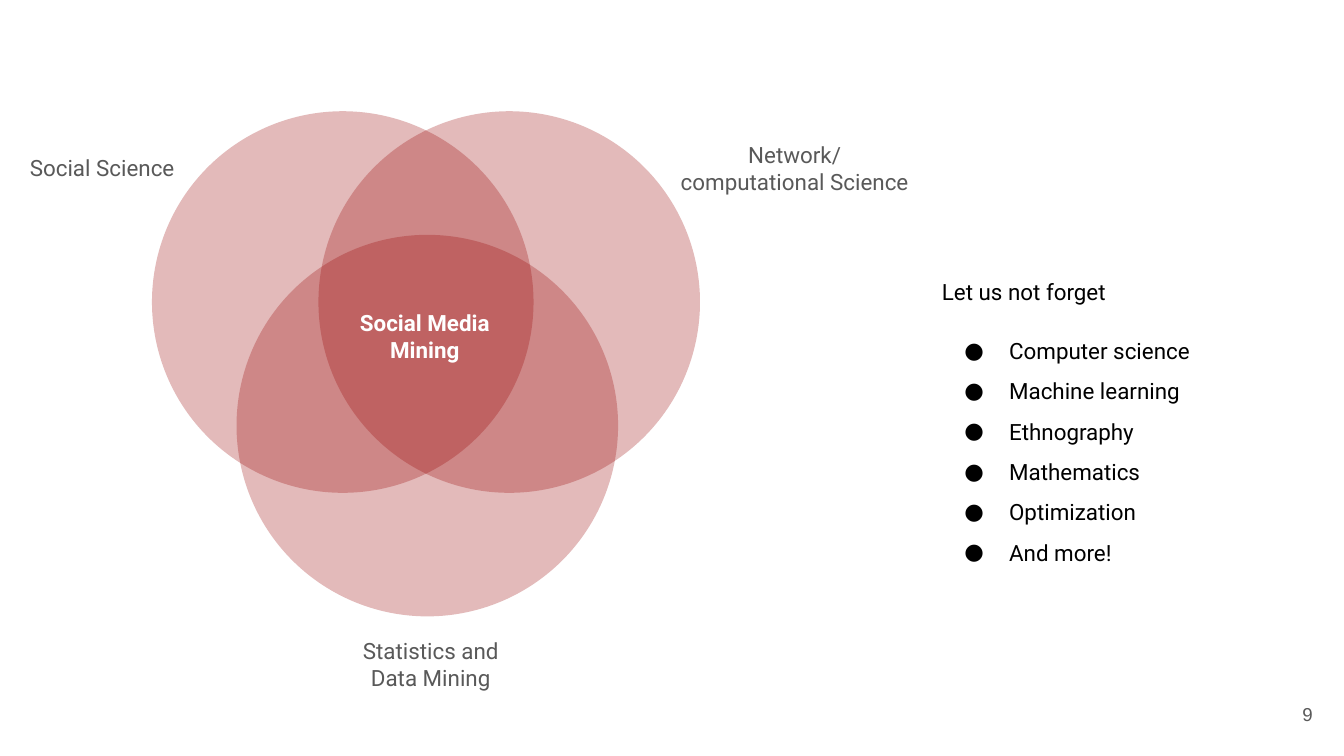
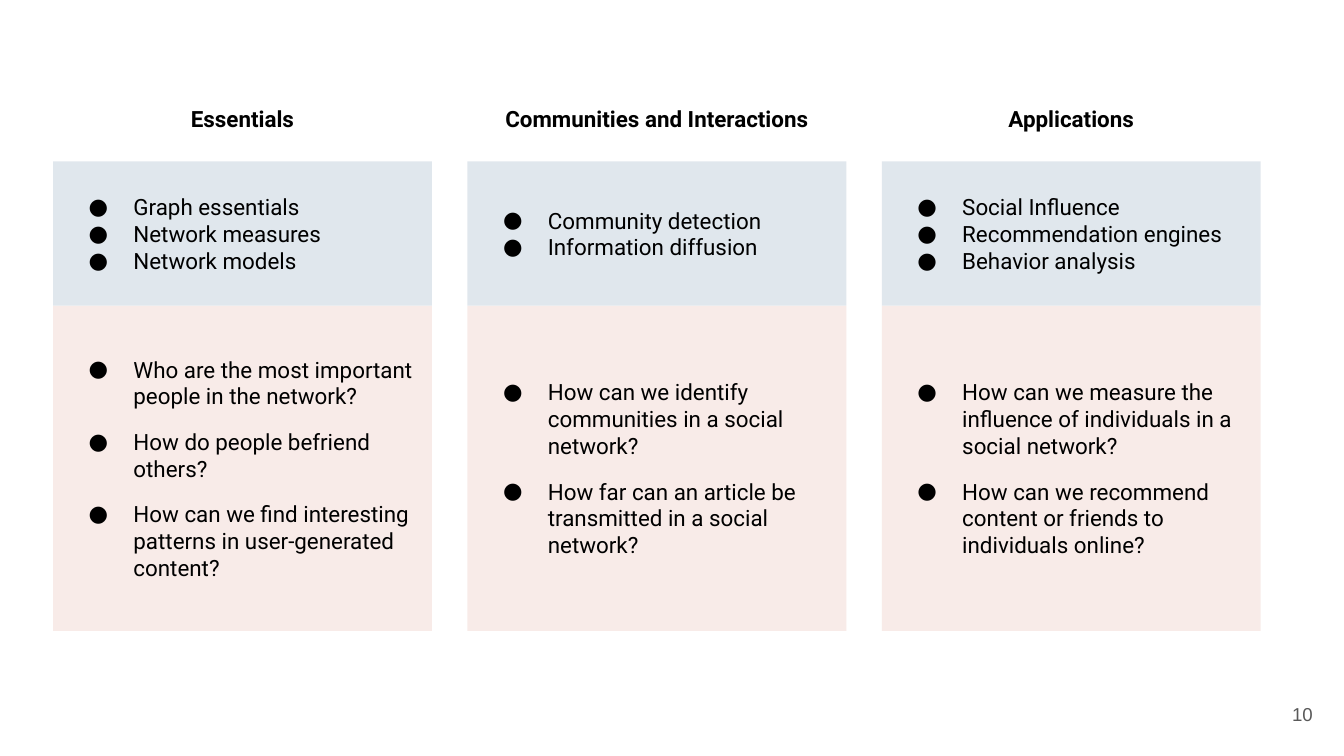
import pptx
import pptx.util
import pptx.dml.color
import pptx.enum.shapes
import pptx.enum.text
import pptx.oxml
import pptx.oxml.ns

Pt = pptx.util.Pt
RGB = pptx.dml.color.RGBColor
Shape = pptx.enum.shapes.MSO_SHAPE
Align = pptx.enum.text.PP_ALIGN
Anchor = pptx.enum.text.MSO_ANCHOR

# Shared look
BLACK = RGB(0x00, 0x00, 0x00)
WHITE = RGB(0xFF, 0xFF, 0xFF)
GREY = RGB(0x59, 0x59, 0x59)
RED = RGB(0x98, 0x00, 0x00)
NAVY = RGB(0x00, 0x3B, 0x71)
ROSE = RGB(0xE6, 0xB8, 0xAF)
FONT = "Roboto"
PAD = 7.2

NEEDS = ["Computer science", "Machine learning", "Ethnography",
         "Mathematics", "Optimization", "And more!"]

PARTS = [
    ("Essentials",
     ["Graph essentials", "Network measures", "Network models"],
     ["Who are the most important people in the network?",
      "How do people befriend others?",
      "How can we find interesting patterns in user-generated content?"]),
    ("Communities and Interactions",
     ["Community detection", "Information diffusion"],
     ["How can we identify communities in a social network?",
      "How far can an article be transmitted in a social network?"]),
    ("Applications",
     ["Social Influence", "Recommendation engines", "Behavior analysis"],
     ["How can we measure the influence of individuals in a social network?",
      "How can we recommend content or friends to individuals online?"]),
]


def set_frame(frame, anchor):
    frame.word_wrap = True
    frame.auto_size = pptx.enum.text.MSO_AUTO_SIZE.NONE
    frame.vertical_anchor = anchor
    frame.margin_left = frame.margin_right = Pt(PAD)
    frame.margin_top = frame.margin_bottom = Pt(PAD)


def style(para, color=BLACK, bold=False, size=12, font=FONT,
          align=Align.LEFT, line=1.0, before=0, after=0):
    para.alignment = align
    para.line_spacing = line
    para.space_before = Pt(before)
    para.space_after = Pt(after)
    for run in para.runs:
        run.font.name = font
        run.font.size = Pt(size)
        run.font.bold = bold
        run.font.color.rgb = color


def set_bullet(para, mark="●"):
    """Give the paragraph a hanging bullet, or none if mark is empty."""
    props = para._p.get_or_add_pPr()
    props.set("marL", str(Pt(36) if mark else 0))
    props.set("indent", str(Pt(-24) if mark else 0))
    space = pptx.oxml.ns.nsdecls("a")
    if mark:
        tags = [f'<a:buClr {space}><a:srgbClr val="{BLACK}"/></a:buClr>',
                f'<a:buFont {space} typeface="{FONT}"/>',
                f'<a:buChar {space} char="{mark}"/>']
    else:
        tags = [f"<a:buNone {space}/>"]
    for tag in tags:
        props.append(pptx.oxml.parse_xml(tag))


def add_block(slide, kind, box, color, alpha):
    """Add a borderless shape with a see-through fill."""
    block = slide.shapes.add_shape(kind, *map(Pt, box))
    block.shadow.inherit = False
    block.fill.solid()
    block.fill.fore_color.rgb = color
    block.line.fill.background()
    tint = block.fill._xPr.find(".//" + pptx.oxml.ns.qn("a:srgbClr"))
    space = pptx.oxml.ns.nsdecls("a")
    tint.append(pptx.oxml.parse_xml(f'<a:alpha {space} val="{alpha * 1000}"/>'))
    return block


def add_label(slide, box, text, **look):
    label = slide.shapes.add_textbox(*map(Pt, box))
    set_frame(label.text_frame, Anchor.MIDDLE)
    label.text_frame.text = text
    style(label.text_frame.paragraphs[0], **look)


def add_number(slide, number):
    add_label(slide, (667.2, 367.2, 43.2, 31), str(number),
              color=GREY, size=10, font="Arial", align=Align.RIGHT)


# Three overlapping fields
def add_venn(slide, left, top):
    size = 204.4
    for x, y in [(0, 0), (89.2, 0), (45.3, 66.2)]:
        add_block(slide, Shape.OVAL, (left + x, top + y, size, size), RED, 27)
    labels = [
        ("Social Science", -72.8, 17.4, 92.4, 26, GREY),
        ("Network/computational Science", 275.6, 17.4, 137.5, 26, GREY),
        ("Statistics and Data Mining", 95, 283.2, 108.7, 26, GREY),
        ("Social Media Mining", 100, 103.2, 92.4, 34.6, WHITE),
    ]
    for text, x, y, width, height, color in labels:
        add_label(slide, (left + x, top + y, width, height), text,
                  color=color, bold=color == WHITE, align=Align.CENTER)


# List beside the diagram
def fill_list(body, box, lead, items):
    body.left, body.top, body.width, body.height = map(Pt, box)
    frame = body.text_frame
    set_frame(frame, Anchor.TOP)
    frame.text = "\n".join([lead, *items])
    for i, para in enumerate(frame.paragraphs):
        style(para, line=1.5, before=10 if i == 1 else 0)
        set_bullet(para, "●" if i else "")


# Heading above a topic panel and a question panel
def add_panel(slide, box, color, alpha, items, gap=0):
    frame = add_block(slide, Shape.RECTANGLE, box, color, alpha).text_frame
    set_frame(frame, Anchor.MIDDLE)
    frame.text = "\n".join(items)
    last = len(items) - 1
    for i, para in enumerate(frame.paragraphs):
        style(para, before=gap if i else 0, after=gap if i == last else 0)
        set_bullet(para)


def add_column(slide, left, top, width, head, topics, asks):
    add_label(slide, (left, top, width, 28.8), head, bold=True,
              align=Align.CENTER, line=1.15, after=10)
    add_panel(slide, (left, top + 38.2, width, 77.4), NAVY, 12, topics)
    add_panel(slide, (left, top + 115.6, width, 174.2), ROSE, 28, asks, gap=10)


def make_fields(deck):
    slide = deck.slides.add_slide(deck.slide_layouts[1])
    title = slide.shapes.title._element
    title.getparent().remove(title)
    add_venn(slide, 81.4, 59.6)
    fill_list(slide.placeholders[1], (497.4, 134.6, 198, 225.4),
              "Let us not forget", NEEDS)
    add_number(slide, 9)


def make_topics(deck):
    slide = deck.slides.add_slide(deck.slide_layouts[6])
    width, gap = 203, 19
    for i, part in enumerate(PARTS):
        add_column(slide, 28.4 + i * (width + gap), 48.2, width, *part)
    add_number(slide, 10)


def main():
    deck = pptx.Presentation()
    deck.slide_width, deck.slide_height = Pt(720), Pt(405)
    make_fields(deck)
    make_topics(deck)
    deck.save("out.pptx")


if __name__ == "__main__":
    main()
